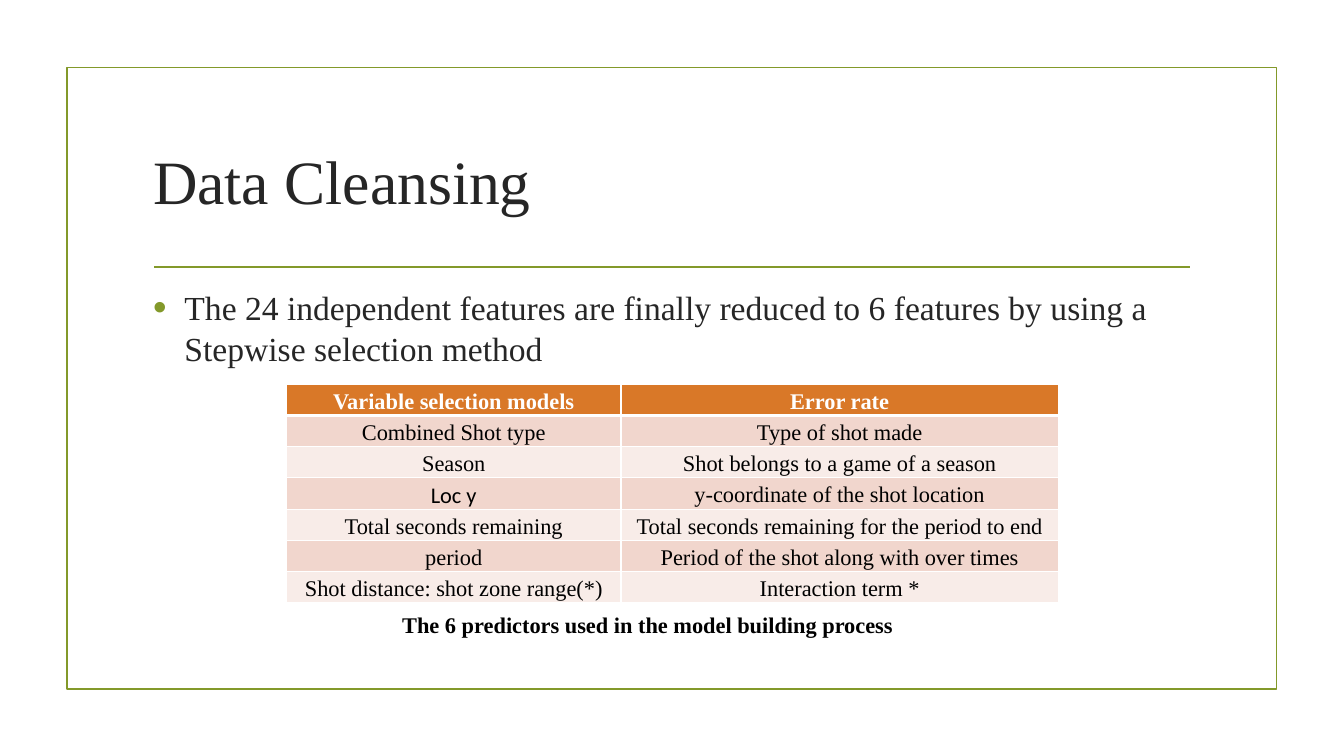
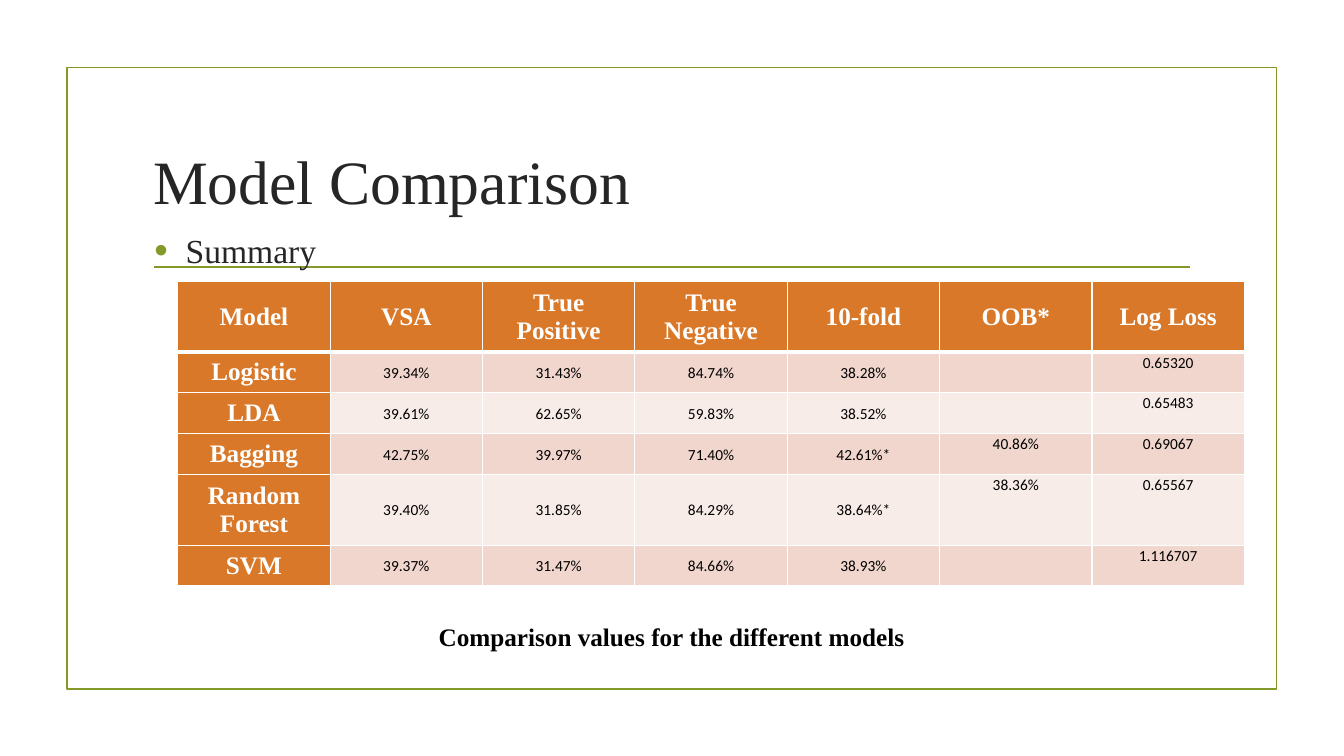
"""Build two framed slides: the selected predictors and the model comparison."""
from dataclasses import dataclass

from lxml import etree
from pptx import Presentation
from pptx import util as u
from pptx.dml.color import RGBColor
from pptx.enum import shapes, text
from pptx.oxml import ns


@dataclass(frozen=True)
class Theme:
    green: str = "83992A"
    orange: str = "D97828"
    bands: tuple = ("F8ECE8", "F1D6CD")
    ink: str = "262626"
    black: str = "000000"
    white: str = "FFFFFF"
    serif: str = "Times New Roman"
    sans: str = "Calibri"
    title_size: int = 44
    body_size: int = 24
    rule_width: float = 1.25
    grid_width: int = 1
    header_rule_width: int = 3


theme = Theme()


def write(frame, words, size, colour, font=theme.serif, bold=False, align=text.PP_ALIGN.LEFT):
    frame.word_wrap = True
    paragraph = frame.paragraphs[0]
    paragraph.alignment = align
    run = paragraph.add_run()
    run.text = words
    run.font.size = u.Pt(size)
    run.font.name = font
    run.font.bold = bold
    run.font.color.rgb = RGBColor.from_string(colour)
    return paragraph


def add_xml(parent, tag, **attributes):
    return etree.SubElement(parent, ns.qn(tag), attributes)


pages = [
    {
        "title": "Data Cleansing",
        "point": "The 24 independent features are finally reduced to 6 features "
                 "by using a Stepwise selection method",
        "point_box": (3.61, 7.11, 26.67, 9.22),
        "table_corner": (7.22, 9.69),
        "columns": [8.43, 11.02],
        "heights": [0.72, 0.72, 0.72, 0.81, 0.72, 0.72, 0.72],
        "rows": [
            ["Variable selection models", "Error rate"],
            ["Combined Shot type", "Type of shot made"],
            ["Season", "Shot belongs to a game of a season"],
            ["Loc y", "y-coordinate of the shot location"],
            ["Total seconds remaining", "Total seconds remaining for the period to end"],
            ["period", "Period of the shot along with over times"],
            ["Shot distance: shot zone range(*)", "Interaction term *"],
        ],
        "label_columns": 0,
        "top_columns": (),
        "label_size": 16,
        "label_spacing": 1.15,
        "value_size": 16,
        "value_spacing": 1.15,
        "value_font": theme.serif,
        "font_exceptions": {"Loc y": theme.sans},
        "caption": "The 6 predictors used in the model building process",
        "caption_box": (6.63, 15.27, 19.38, 0.94),
        "caption_size": 16,
    },
    {
        "title": "Model Comparison",
        "point": "Summary",
        "point_box": (3.64, 5.67, 26.67, 3.61),
        "table_corner": (4.48, 7.09),
        "columns": [3.84] * 7,
        "heights": [1.65, 1.03, 1.03, 1.03, 1.65, 1.03],
        "rows": [
            ["Model", "VSA", "True Positive", "True Negative", "10-fold", "OOB*", "Log Loss"],
            ["Logistic", "39.34%", "31.43%", "84.74%", "38.28%", "", "0.65320"],
            ["LDA", "39.61%", "62.65%", "59.83%", "38.52%", "", "0.65483"],
            ["Bagging", "42.75%", "39.97%", "71.40%", "42.61%*", "40.86%", "0.69067"],
            ["Random Forest", "39.40%", "31.85%", "84.29%", "38.64%*", "38.36%", "0.65567"],
            ["SVM", "39.37%", "31.47%", "84.66%", "38.93%", "", "1.116707"],
        ],
        "label_columns": 1,
        "top_columns": (5, 6),
        "label_size": 18,
        "label_spacing": None,
        "value_size": 11,
        "value_spacing": 1.07,
        "value_font": theme.sans,
        "font_exceptions": {},
        "caption": "Comparison values for the different models",
        "caption_box": (7.16, 15.52, 19.53, 1.02),
        "caption_size": 18,
    },
]

deck = Presentation()
deck.slide_width, deck.slide_height = u.Cm(33.87), u.Cm(19.05)

for page in pages:
    slide = deck.slides.add_slide(deck.slide_layouts[6])

    border = slide.shapes.add_shape(
        shapes.MSO_SHAPE.RECTANGLE, u.Cm(1.69), u.Cm(1.7), u.Cm(30.48), u.Cm(15.67))
    border.shadow.inherit = False
    border.fill.background()
    rule = slide.shapes.add_connector(
        shapes.MSO_CONNECTOR.STRAIGHT, u.Cm(3.89), u.Cm(6.73), u.Cm(30), u.Cm(6.73))
    add_xml(rule.element.spPr, "a:effectLst")
    for outline in (border.line, rule.line):
        outline.color.rgb = RGBColor.from_string(theme.green)
        outline.width = u.Pt(theme.rule_width)

    title = slide.shapes.add_textbox(u.Cm(3.61), u.Cm(2.72), u.Cm(26.67), u.Cm(3.63)).text_frame
    title.vertical_anchor = text.MSO_ANCHOR.MIDDLE
    write(title, page["title"], theme.title_size, theme.ink)

    point = slide.shapes.add_textbox(*map(u.Cm, page["point_box"])).text_frame
    bullet = write(point, page["point"], theme.body_size, theme.ink)
    bullet.space_before, bullet.space_after = u.Pt(4.8), u.Pt(6)
    layout = bullet._p.get_or_add_pPr()
    layout.set("marL", str(u.Cm(0.79)))
    layout.set("indent", str(u.Cm(-0.79)))
    add_xml(add_xml(layout, "a:buClr"), "a:srgbClr", val=theme.green)
    add_xml(layout, "a:buSzPct", val="115000")
    add_xml(layout, "a:buFont", typeface="Arial")
    add_xml(layout, "a:buChar", char="•")

    left, top = page["table_corner"]
    grid = slide.shapes.add_table(
        len(page["rows"]), len(page["columns"]), u.Cm(left), u.Cm(top),
        u.Cm(sum(page["columns"])), u.Cm(sum(page["heights"]))).table
    for column, width in zip(grid.columns, page["columns"]):
        column.width = u.Cm(width)
    for row, height in zip(grid.rows, page["heights"]):
        row.height = u.Cm(height)

    for r, entries in enumerate(page["rows"]):
        for c, entry in enumerate(entries):
            cell = grid.cell(r, c)
            is_label = r == 0 or c < page["label_columns"]
            role = "label" if is_label else "value"
            spacing = page[role + "_spacing"]
            on_top = not is_label and c in page["top_columns"]
            cell.vertical_anchor = text.MSO_ANCHOR.TOP if on_top else text.MSO_ANCHOR.MIDDLE

            heavy_side = {0: "B", 1: "T"}.get(r)
            for side in "LRTB":
                width = theme.header_rule_width if side == heavy_side else theme.grid_width
                edge = add_xml(cell._tc.get_or_add_tcPr(), "a:ln" + side, w=str(u.Pt(width)))
                add_xml(add_xml(edge, "a:solidFill"), "a:srgbClr", val=theme.white)
            cell.fill.solid()
            cell.fill.fore_color.rgb = RGBColor.from_string(
                theme.orange if is_label else theme.bands[r % 2])

            if not entry:
                continue
            font = theme.serif if is_label else page["font_exceptions"].get(entry, page["value_font"])
            line = write(cell.text_frame, entry, page[role + "_size"],
                         theme.white if is_label else theme.black,
                         font, is_label, text.PP_ALIGN.CENTER)
            if spacing:
                line.line_spacing = spacing
                cell.margin_left = cell.margin_right = u.Cm(0.17)
                cell.margin_top = cell.margin_bottom = 0

    caption = slide.shapes.add_textbox(*map(u.Cm, page["caption_box"])).text_frame
    write(caption, page["caption"], page["caption_size"], theme.black,
          bold=True, align=text.PP_ALIGN.CENTER)

deck.save("out.pptx")
